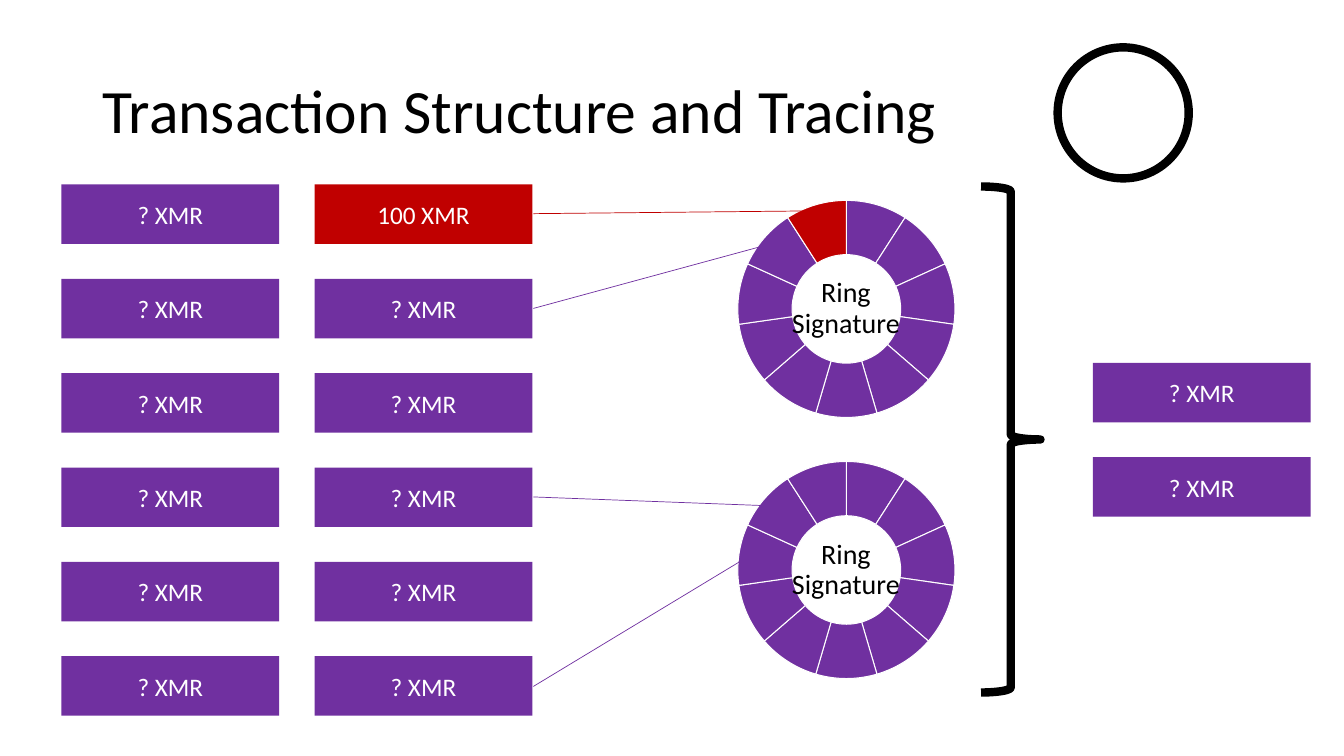
"""Build the slide on transaction structure and tracing with ring signatures."""
import pptx
import pptx.chart.data
import pptx.dml.color
import pptx.enum.chart
import pptx.enum.shapes
import pptx.enum.text
import pptx.oxml
import pptx.util
from pptx.util import Inches

COLORS = {"hidden": "7030A0", "traced": "C00000", "ink": "000000", "paper": "FFFFFF"}
FONT = "Calibri"
SHAPES = pptx.enum.shapes.MSO_SHAPE
CENTER = pptx.enum.text.PP_ALIGN.CENTER


def rgb(name):
    return pptx.dml.color.RGBColor.from_string(COLORS[name])


def write(shape, text, size, color, align=None, spacing=None):
    frame = shape.text_frame
    frame.word_wrap = True
    frame.vertical_anchor = pptx.enum.text.MSO_ANCHOR.MIDDLE
    paragraph = frame.paragraphs[0]
    paragraph.text = text
    paragraph.alignment = align
    paragraph.line_spacing = spacing
    paragraph.font.name = FONT
    paragraph.font.size = pptx.util.Pt(size)
    paragraph.font.color.rgb = rgb(color)


deck = pptx.Presentation()
deck.slide_width, deck.slide_height = Inches(13.33), Inches(7.5)
slide = deck.slides.add_slide(deck.slide_layouts[6])
shapes = slide.shapes

title = shapes.add_textbox(Inches(0.92), Inches(0.4), Inches(11.5), Inches(1.45))
write(title, "Transaction Structure and Tracing", 44, "ink", spacing=0.9)

ring_size = 2.43
for ring_top, last_member in [(1.85, "traced"), (4.44, "hidden")]:
    members = pptx.chart.data.CategoryChartData()
    members.categories = [str(number) for number in range(1, 12)]
    members.add_series("Series 1", [9] * 11)
    ring = shapes.add_chart(
        pptx.enum.chart.XL_CHART_TYPE.DOUGHNUT, Inches(7.18), Inches(ring_top),
        Inches(ring_size), Inches(ring_size), members).chart
    ring.has_legend = False
    ring.has_title = False
    ring.font.name = FONT
    ring.font.size = pptx.util.Pt(10)
    ring.font.color.rgb = rgb("ink")
    plot = ring.plots[0]
    plot.vary_by_categories = True
    for hole in ring.element.xpath(".//c:holeSize"):
        hole.set("val", "75")
    for index, member in enumerate(["hidden"] * 10 + [last_member]):
        slice_format = plot.series[0].points[index].format
        slice_format.fill.solid()
        slice_format.fill.fore_color.rgb = rgb(member)
        slice_format.line.color.rgb = rgb("paper")
        slice_format.line.width = pptx.util.Pt(0.75)

    ring_label = shapes.add_textbox(
        Inches(7.68), Inches(ring_top + 0.74), Inches(1.42), Inches(0.95))
    write(ring_label, "Ring Signature", 20, "ink", CENTER, 0.9)

row_pitch = 0.936
amounts = [(10.84, 3.6 + row * row_pitch, "? XMR", "hidden") for row in range(2)]
for column, left in enumerate([0.61, 3.12]):
    for row in range(6):
        known = (column, row) == (1, 0)
        amounts.append((left, 1.83 + row * row_pitch,
                        "100 XMR" if known else "? XMR",
                        "traced" if known else "hidden"))
for left, top, amount, color in amounts:
    box = shapes.add_shape(
        SHAPES.RECTANGLE, Inches(left), Inches(top), Inches(2.16), Inches(0.59))
    box.shadow.inherit = False
    box.fill.solid()
    box.fill.fore_color.rgb = rgb(color)
    box.line.fill.background()
    write(box, amount, 18, "paper", CENTER)

links = [
    (3.06, 7.68, 2.41, "hidden"),
    (4.93, 7.68, 5.02, "hidden"),
    (2.12, 8.29, 2.09, "traced"),
    (6.81, 7.44, 5.51, "hidden"),
]
for start_y, end_x, end_y, color in links:
    link = shapes.add_connector(
        pptx.enum.shapes.MSO_CONNECTOR.STRAIGHT,
        Inches(5.29), Inches(start_y), Inches(end_x), Inches(end_y))
    link.line.color.rgb = rgb(color)
    link.line.width = pptx.util.Pt(0.5)
    link.element.spPr.append(pptx.oxml.parse_xml(
        '<a:effectLst xmlns:a="http://schemas.openxmlformats.org/drawingml/2006/main"/>'))

outlines = [
    (SHAPES.RIGHT_BRACE, 9.73, 1.85, 0.59, 5.02),
    (SHAPES.OVAL, 10.49, 0.47, 1.3, 1.3),
]
for kind, left, top, width, height in outlines:
    outline = shapes.add_shape(
        kind, Inches(left), Inches(top), Inches(width), Inches(height))
    outline.shadow.inherit = False
    outline.fill.background()
    outline.line.color.rgb = rgb("ink")
    outline.line.width = pptx.util.Pt(6)

deck.save("out.pptx")
